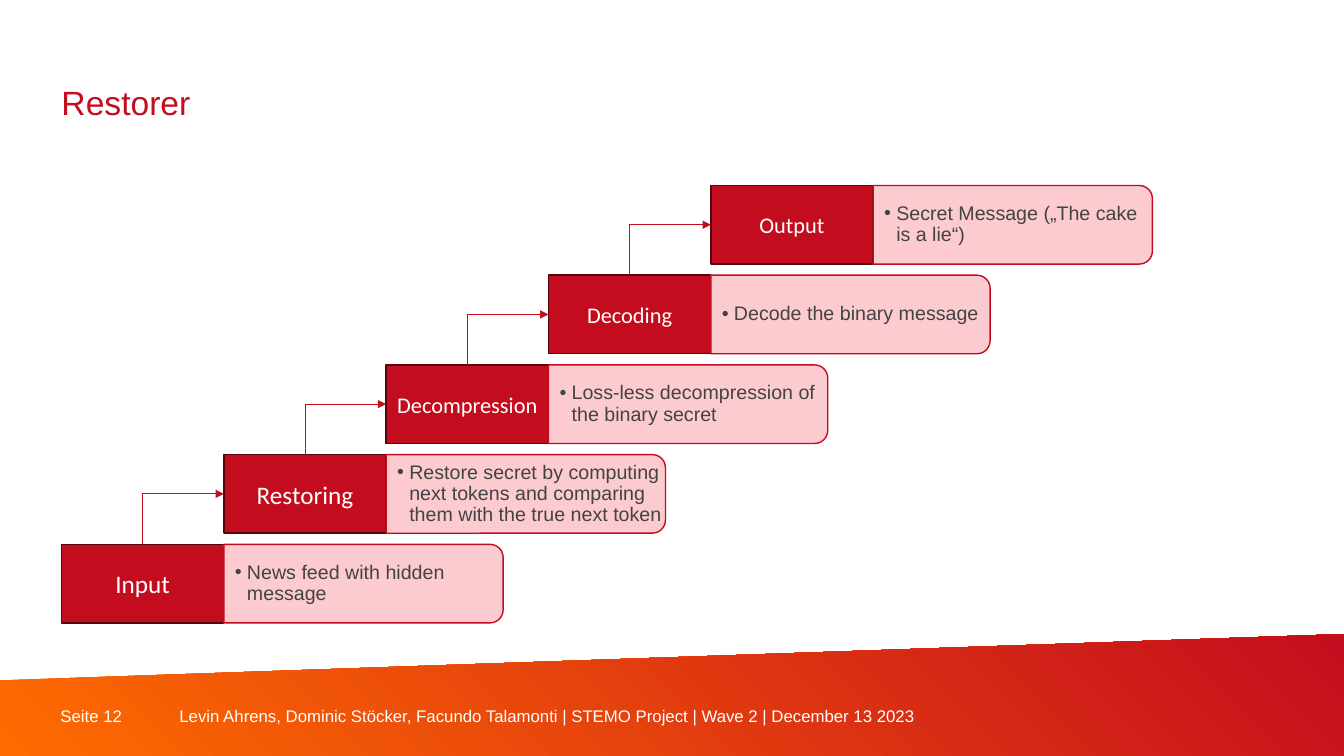
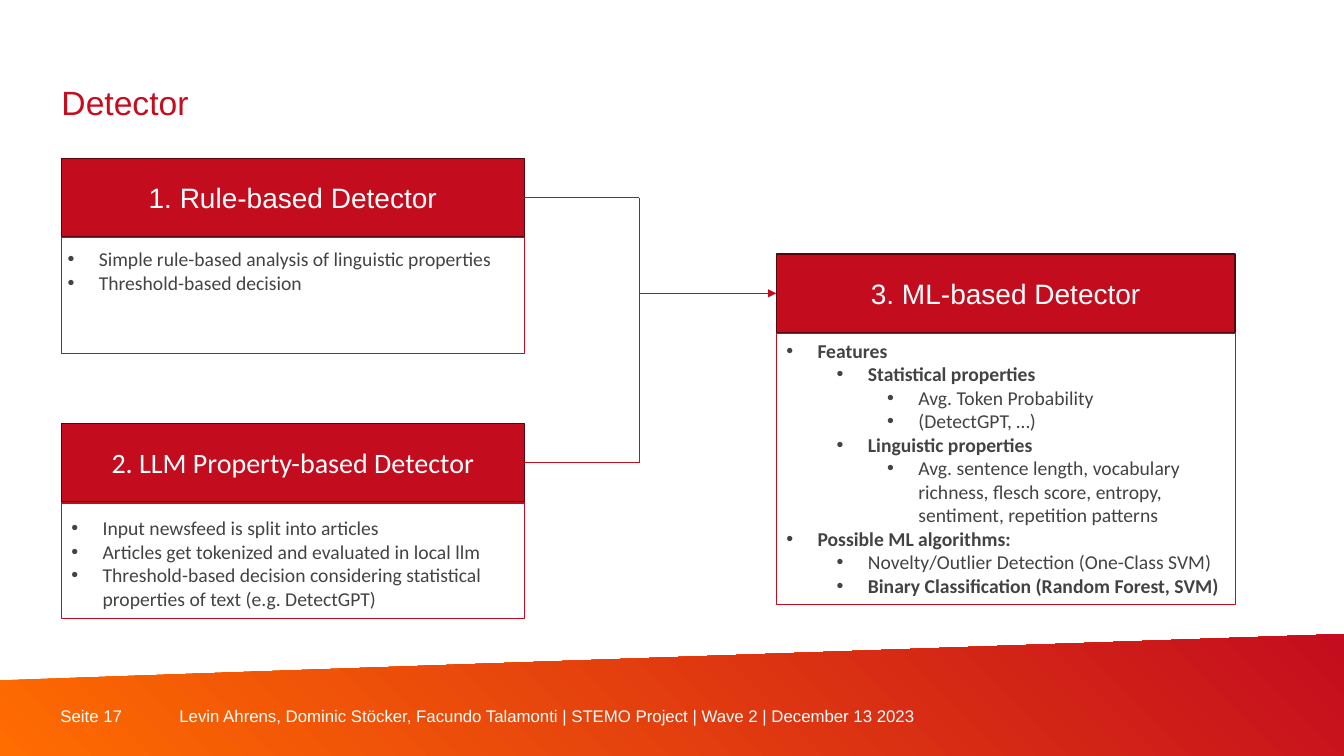
from lxml.etree import SubElement
from pptx import Presentation
from pptx.dml.color import RGBColor
from pptx.enum.shapes import MSO_CONNECTOR, MSO_SHAPE
from pptx.enum.text import MSO_ANCHOR, MSO_AUTO_SIZE, PP_ALIGN
from pptx.oxml.ns import qn
from pptx.util import Pt

SCALE = 9144  # EMU per px, 100 px to the inch
SLIDE_WIDTH, SLIDE_HEIGHT = 1333, 750
COLORS = {
    "title": "C40D1E",
    "red": "C30D1E",
    "dark_red": "55060D",
    "pink": "FBC6CB",
    "orange": "FF6C00",
    "text": "434343",
    "white": "FFFFFF",
}
FOOTER = ("Levin Ahrens, Dominic Stöcker, Facundo Talamonti | "
          "STEMO Project | Wave 2 | December 13 2023")
BAND = [(0, 675), (1333, 629), (1333, 750), (0, 750)]

# Steps from bottom to top: name, text size, detail
STEPS = [
    ("Input", 18, "News feed with hidden message"),
    ("Restoring", 18, "Restore secret by computing next tokens and comparing "
                      "them with the true next token"),
    ("Decompression", 16, "Loss-less decompression of the binary secret"),
    ("Decoding", 16, "Decode the binary message"),
    ("Output", 16, "Secret Message („The cake is a lie“)"),
]
STEP_LEFT, STEP_TOP = 61, 540
STEP_WIDTH, STEP_RISE = 161, 89
BOX_HEIGHT, DETAIL_WIDTH = 78, 277

# Items: level, bold, text. Insets: left, top, right, bottom
DETECTORS = [
    {"name": "1. Rule-based Detector", "font": "Arial",
     "box": (61, 157, 459), "body_height": 115, "insets": (6, 9, 3, 5),
     "items": [
         (0, False, "Simple rule-based analysis of linguistic properties"),
         (0, False, "Threshold-based decision"),
     ]},
    {"name": "2. LLM Property-based Detector", "font": "Calibri",
     "box": (61, 420, 459), "body_height": 115, "insets": (10, 13, 3, 0),
     "items": [
         (0, False, "Input newsfeed is split into articles"),
         (0, False, "Articles get tokenized and evaluated in local llm"),
         (0, False, "Threshold-based decision considering statistical "
                    "properties of text (e.g. DetectGPT)"),
     ]},
    {"name": "3. ML-based Detector", "font": "Arial",
     "box": (770, 252, 455), "body_height": 269, "insets": (10, 5, 3, 5),
     "items": [
         (0, True, "Features"),
         (1, True, "Statistical properties"),
         (2, False, "Avg. Token Probability"),
         (2, False, "(DetectGPT, …)"),
         (1, True, "Linguistic properties"),
         (2, False, "Avg. sentence length, vocabulary richness, flesch score, "
                    "entropy, sentiment, repetition patterns"),
         (0, True, "Possible ML algorithms:"),
         (1, False, "Novelty/Outlier Detection (One-Class SVM)"),
         (1, True, "Binary Classification (Random Forest, SVM)"),
     ]},
]
JUNCTION_X = 634


def px(*lengths):
    return [round(length * SCALE) for length in lengths]


def color(name):
    return RGBColor.from_string(COLORS[name])


def format_paragraph(paragraph, size, font, color_name, bold=False):
    for run in paragraph.runs:
        run.font.size = Pt(size)
        run.font.name = font
        run.font.bold = bold
        run.font.color.rgb = color(color_name)


def set_frame(frame, insets=(0, 0, 0, 0), anchor=MSO_ANCHOR.MIDDLE):
    frame.word_wrap = True
    frame.auto_size = MSO_AUTO_SIZE.NONE
    frame.vertical_anchor = anchor
    (frame.margin_left, frame.margin_top,
     frame.margin_right, frame.margin_bottom) = px(*insets)


def add_bullet(paragraph, margin, hanging):
    properties = paragraph._p.get_or_add_pPr()
    properties.set("marL", str(px(margin)[0]))
    properties.set("indent", str(-px(hanging)[0]))
    SubElement(properties, qn("a:buFont"), typeface="Arial")
    SubElement(properties, qn("a:buChar"), char="•")


def add_box(slide, kind, bounds, fill, line, line_width):
    shape = slide.shapes.add_shape(kind, *px(*bounds))
    shape.shadow.inherit = False
    if fill:
        shape.fill.solid()
        shape.fill.fore_color.rgb = color(fill)
    else:
        shape.fill.background()
    shape.line.color.rgb = color(line)
    shape.line.width = Pt(line_width)
    return shape


def add_header(slide, bounds, name, size, font):
    header = add_box(slide, MSO_SHAPE.RECTANGLE, bounds, "red", "dark_red", 1)
    frame = header.text_frame
    frame.text = name
    set_frame(frame, (10, 5, 10, 5))
    frame.paragraphs[0].alignment = PP_ALIGN.CENTER
    format_paragraph(frame.paragraphs[0], size, font, "white")
    return header


def add_line(slide, start, end, kind=MSO_CONNECTOR.STRAIGHT, arrow=False):
    connector = slide.shapes.add_connector(kind, *px(*start, *end))
    connector.line.color.rgb = color("red")
    connector.line.width = Pt(0.5)
    properties = connector._element.spPr
    if arrow:
        SubElement(properties.find(qn("a:ln")), qn("a:tailEnd"), type="triangle")
    SubElement(properties, qn("a:effectLst"))
    return connector


def add_footer_text(slide, left, width, text):
    box = slide.shapes.add_textbox(*px(left, 700, width, 21))
    box.text_frame.text = text
    set_frame(box.text_frame)
    format_paragraph(box.text_frame.paragraphs[0], 12, "Arial", "white")


def add_base_slide(presentation, title, number):
    """Add a slide with the title, the sloped band and the footer."""
    slide = presentation.slides.add_slide(presentation.slide_layouts[5])
    builder = slide.shapes.build_freeform(*BAND[0], scale=SCALE)
    builder.add_line_segments(BAND[1:], close=True)
    band = builder.convert_to_shape()
    band.shadow.inherit = False
    band.line.fill.background()
    band.fill.gradient()
    band.fill.gradient_angle = 45
    for stop, name in zip(band.fill.gradient_stops, ("orange", "title")):
        stop.color.rgb = color(name)
    add_footer_text(slide, 60, 118, f"Seite {number}")
    add_footer_text(slide, 178, 833, FOOTER)

    heading = slide.shapes.title
    heading.left, heading.top, heading.width, heading.height = px(61, 43, 909, 78)
    heading.text_frame.text = title
    set_frame(heading.text_frame, anchor=MSO_ANCHOR.BOTTOM)
    paragraph = heading.text_frame.paragraphs[0]
    paragraph.alignment = PP_ALIGN.LEFT
    paragraph.line_spacing = Pt(28)
    format_paragraph(paragraph, 24, "Arial", "title")
    return slide


def add_step_arrow(slide, lower, upper):
    """Lead from the top of the lower box up, then right to the upper box."""
    connector = add_line(slide, (0, 0), (1, 1), MSO_CONNECTOR.ELBOW, arrow=True)
    connector.begin_connect(lower, 0)
    connector.end_connect(upper, 1)
    start_x, start_y = lower.left + lower.width // 2, lower.top
    end_x, end_y = upper.left, upper.top + upper.height // 2
    run, rise = end_x - start_x, start_y - end_y
    # The frame is stored before its quarter turn, so its sides are swapped
    connector.left = (start_x + end_x - rise) // 2
    connector.top = (start_y + end_y - run) // 2
    connector.width, connector.height = rise, run
    properties = connector._element.spPr
    frame = properties.find(qn("a:xfrm"))
    for name, value in (("rot", "5400000"), ("flipH", "1"), ("flipV", "1")):
        frame.set(name, value)
    properties.find(qn("a:prstGeom")).set("prst", "bentConnector2")


def add_step_detail(slide, left, top, text):
    offset = (DETAIL_WIDTH - BOX_HEIGHT) / 2
    panel = add_box(slide, MSO_SHAPE.ROUND_2_SAME_RECTANGLE,
                    (left + offset, top - offset, BOX_HEIGHT, DETAIL_WIDTH),
                    "pink", "red", 1)
    panel.rotation = 90
    fill = panel._element.spPr.find(qn("a:solidFill"))
    SubElement(fill[0], qn("a:alpha"), val="90000")

    box = slide.shapes.add_textbox(*px(left, top + 4, DETAIL_WIDTH, 70))
    box.text_frame.text = text
    set_frame(box.text_frame, (11, 1, 1, 1))
    paragraph = box.text_frame.paragraphs[0]
    paragraph.line_spacing = 0.9
    add_bullet(paragraph, 12, 12)
    format_paragraph(paragraph, 14, "Arial", "text")


def build_restorer(presentation):
    slide = add_base_slide(presentation, "Restorer", 12)
    places = [(STEP_LEFT + STEP_WIDTH * index, STEP_TOP - STEP_RISE * index)
              for index in range(len(STEPS))]
    boxes = [add_header(slide, (*place, STEP_WIDTH, BOX_HEIGHT), name, size, "Calibri")
             for place, (name, size, _) in zip(places, STEPS)]
    for lower, upper in zip(boxes, boxes[1:]):
        add_step_arrow(slide, lower, upper)
    for (left, top), (_, _, detail) in zip(places, STEPS):
        add_step_detail(slide, left + STEP_WIDTH, top, detail)


def add_detector(slide, detector):
    left, top, width = detector["box"]
    header = add_header(slide, (left, top, width, BOX_HEIGHT),
                        detector["name"], 20, detector["font"])
    body = add_box(slide, MSO_SHAPE.RECTANGLE,
                   (left, top + BOX_HEIGHT + 1, width, detector["body_height"]),
                   None, "red", 0.75)
    frame = body.text_frame
    frame.text = "\n".join(text for _, _, text in detector["items"])
    set_frame(frame, detector["insets"], MSO_ANCHOR.TOP)
    for paragraph, (level, bold, _) in zip(frame.paragraphs, detector["items"]):
        paragraph.level = level
        paragraph.alignment = PP_ALIGN.LEFT
        add_bullet(paragraph, 31 + 50 * level, 31)
        format_paragraph(paragraph, 14, "Calibri", "text", bold)
    return header


def build_detector(presentation):
    slide = add_base_slide(presentation, "Detector", 17)
    *sources, target = [add_detector(slide, detector) for detector in DETECTORS]
    *source_ys, target_y = [detector["box"][1] + BOX_HEIGHT // 2
                            for detector in DETECTORS]
    for source, y in zip(sources, source_ys):
        branch = add_line(slide, (JUNCTION_X - 1, y), (JUNCTION_X, y))
        branch.begin_connect(source, 3)
    add_line(slide, (JUNCTION_X, source_ys[0]), (JUNCTION_X, source_ys[-1]))
    arrow = add_line(slide, (JUNCTION_X, target_y), (JUNCTION_X + 1, target_y),
                     arrow=True)
    arrow.end_connect(target, 1)


def main():
    presentation = Presentation()
    presentation.slide_width, presentation.slide_height = px(SLIDE_WIDTH, SLIDE_HEIGHT)
    build_restorer(presentation)
    build_detector(presentation)
    presentation.save("out.pptx")


if __name__ == "__main__":
    main()
